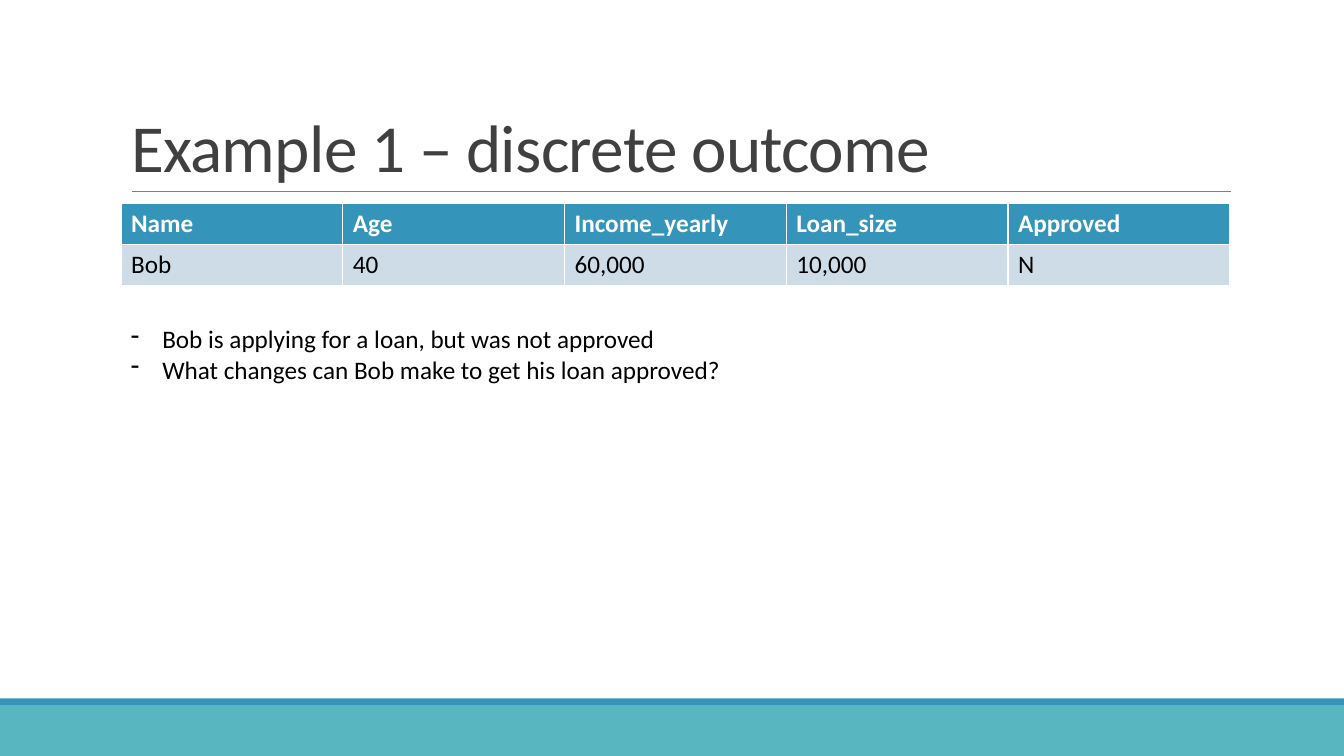
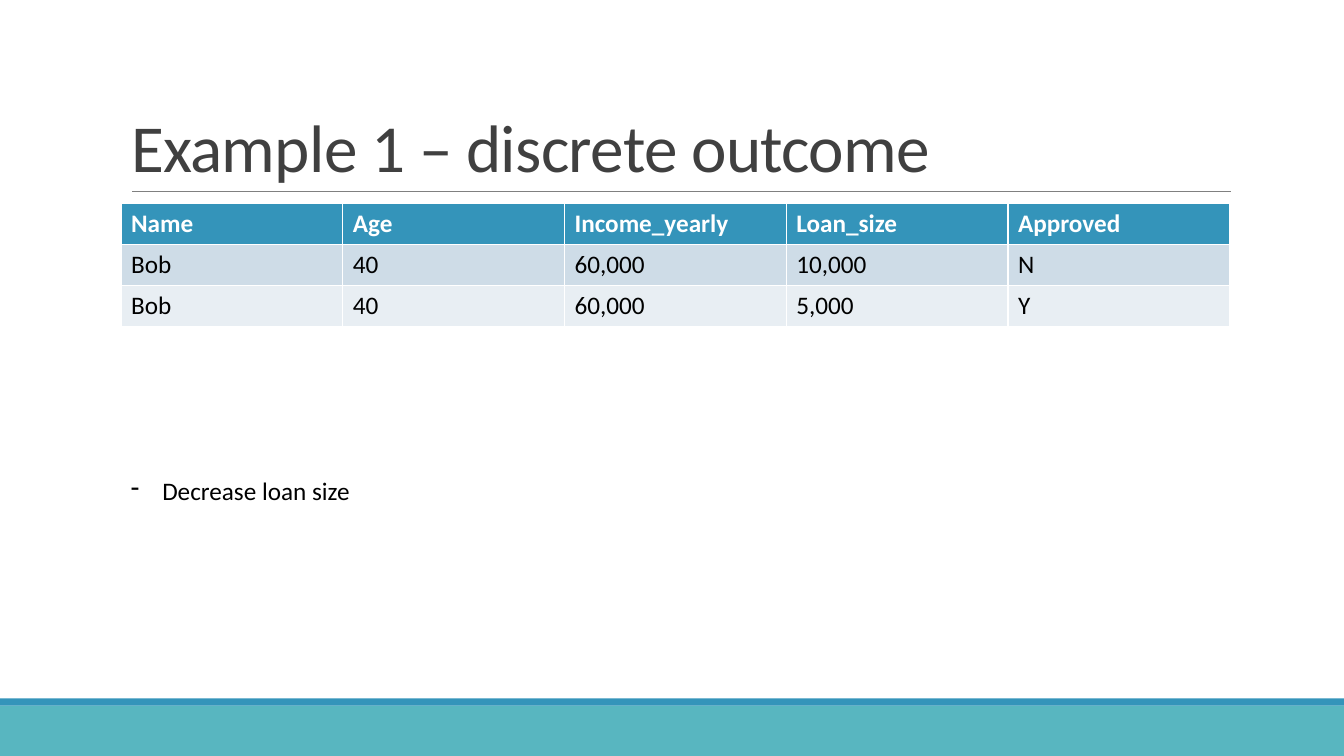
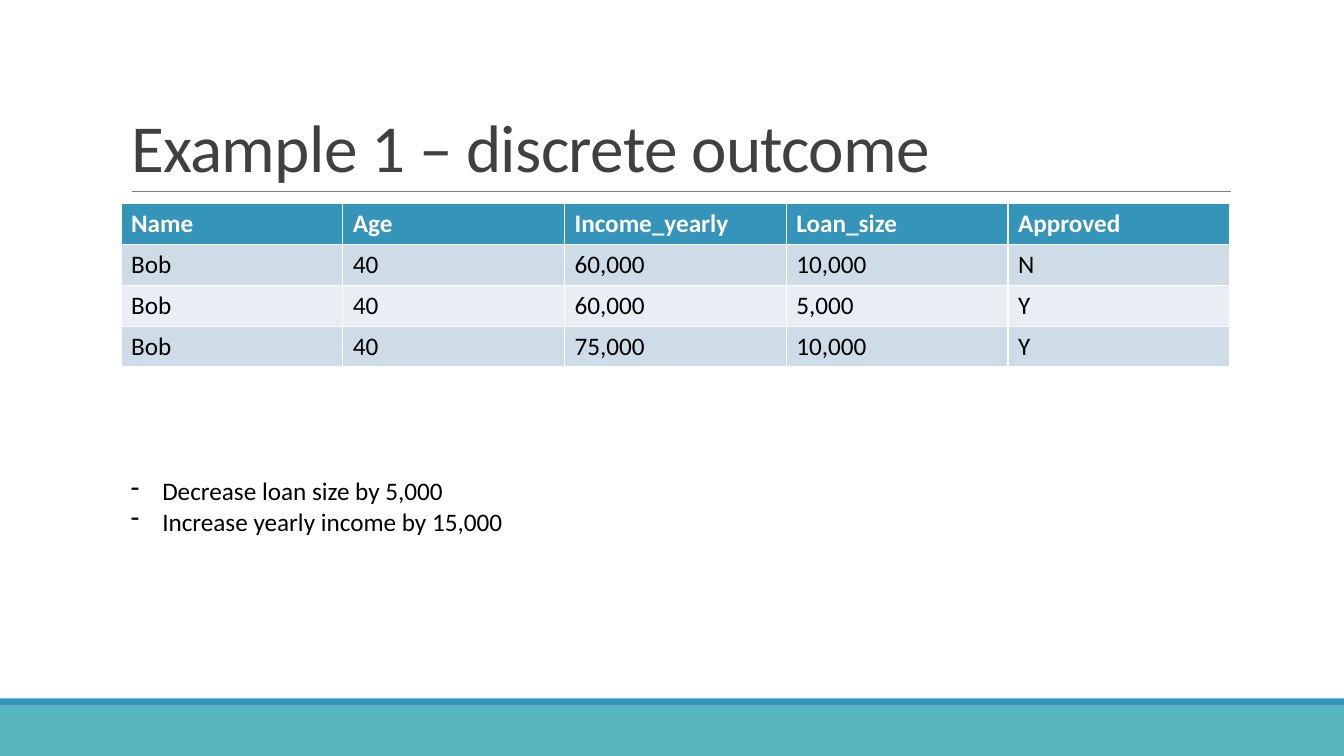
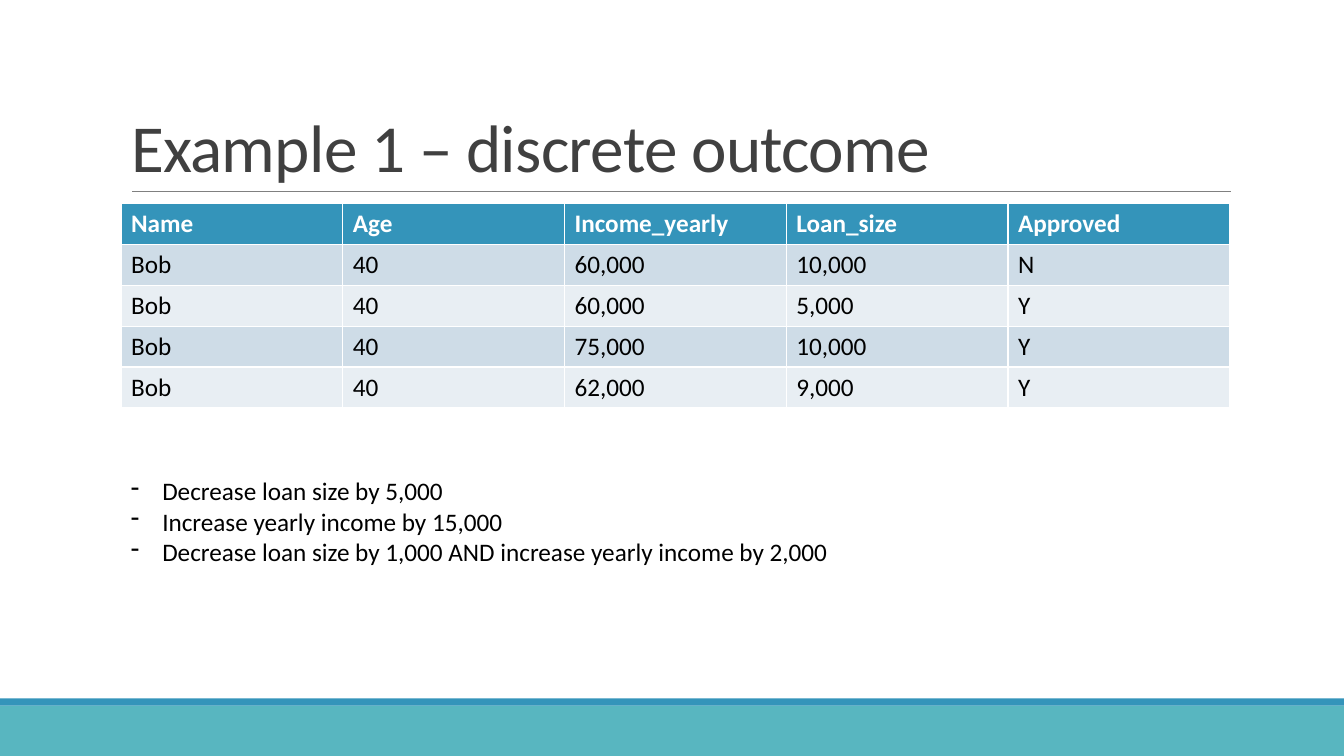
"""Build four slides on changing the outcome of a loan request."""
from lxml.etree import SubElement as Sub
from pptx import Presentation
from pptx.dml.color import RGBColor as Rgb
from pptx.enum.shapes import MSO_CONNECTOR as Link, MSO_SHAPE as Form
from pptx.enum.text import MSO_ANCHOR as Anchor, MSO_AUTO_SIZE as Fit, PP_ALIGN as Align
from pptx.oxml.ns import qn
from pptx.util import Cm, Pt

FONT = "Calibri"
BLUE, TEAL, GRAY = "3494BA", "58B6C0", "808080"
DARK, BLACK, WHITE = "404040", "000000", "FFFFFF"
TINTS = ("CEDCE7", "E8EEF3")
WIDE, HIGH = 33.87, 19.05
LEFT, SPAN = 3.05, 27.94
ROW = 1.03
TITLE = "Example 1 – discrete outcome"
HEAD = ("Name", "Age", "Income_yearly", "Loan_size", "Approved")
BOBS = (
    ("Bob", "40", "60,000", "10,000", "N"),
    ("Bob", "40", "60,000", "5,000", "Y"),
    ("Bob", "40", "75,000", "10,000", "Y"),
    ("Bob", "40", "62,000", "9,000", "Y"),
)
FIRST, SECOND = "Decrease loan size by 5,000", "Increase yearly income by 15,000"
DECK = (
    (8.03, ("Bob is applying for a loan, but was not approved",
            "What changes can Bob make to get his loan approved?")),
    (11.86, ("Decrease loan size",)),
    (11.86, (FIRST, SECOND)),
    (11.86, (FIRST, SECOND,
             "Decrease loan size by 1,000 AND increase yearly income by 2,000")),
)


def paint(part, tone):
    """Give a fill or font colour from a hex string."""
    part.rgb = Rgb.from_string(tone)


def flood(part, tone):
    """Fill a shape or cell with one colour."""
    part.fill.solid()
    paint(part.fill.fore_color, tone)


def write(para, text, size, tone, bold=False):
    """Add one run of text and return it."""
    run = para.add_run()
    run.text = text
    font = run.font
    font.name, font.size, font.bold = FONT, Pt(size), bold
    paint(font.color, tone)
    return run


def add_band(slide, top, high, tone):
    """Draw a band across the full slide width."""
    band = slide.shapes.add_shape(Form.RECTANGLE, 0, Cm(top), Cm(WIDE), Cm(high))
    band.shadow.inherit = False
    band.line.fill.background()
    flood(band, tone)
    return band


def add_rule(slide, left, top, span):
    """Draw the thin line under the title."""
    rule = slide.shapes.add_connector(
        Link.STRAIGHT, Cm(left), Cm(top), Cm(left + span), Cm(top))
    rule.line.width = Pt(0.5)
    paint(rule.line.color, GRAY)
    Sub(rule.element.spPr, qn("a:effectLst"))
    return rule


def add_frame(slide):
    """Draw the bands and rule, then hand them to the shared layout."""
    parts = (
        add_band(slide, HIGH - 1.27, 1.27, TEAL),
        add_band(slide, HIGH - 1.45, 0.18, BLUE),
        add_rule(slide, LEFT + 0.28, 4.83, 27.68),
    )
    for part in parts:
        slide.slide_layout.shapes.element.append(part.element)


def set_title(slide, left, top, span, high):
    """Place and format the title."""
    title = slide.shapes.title
    title.left, title.top, title.width, title.height = map(Cm, (left, top, span, high))
    frame = title.text_frame
    frame.word_wrap, frame.auto_size = True, Fit.NONE
    frame.vertical_anchor = Anchor.BOTTOM
    para = frame.paragraphs[0]
    para.alignment, para.line_spacing = Align.LEFT, 0.85
    run = write(para, TITLE, 48, DARK)
    run.font._element.set("spc", "-50")


def add_grid(slide, left, top, span, rows):
    """Add the table of loan requests."""
    grid = slide.shapes.add_table(
        len(rows) + 1, len(HEAD), Cm(left), Cm(top), Cm(span),
        Cm(ROW * (len(rows) + 1))).table
    for y, row in enumerate((HEAD, *rows)):
        head = y == 0
        for x, text in enumerate(row):
            cell = grid.cell(y, x)
            flood(cell, BLUE if head else TINTS[(y - 1) % 2])
            write(cell.text_frame.paragraphs[0], text, 18,
                  WHITE if head else BLACK, head)


def add_notes(slide, left, top, span, lines):
    """Add the dashed list below the table."""
    box = slide.shapes.add_textbox(
        Cm(left), Cm(top), Cm(span), Cm(0.25 + 0.77 * len(lines)))
    frame = box.text_frame
    frame.word_wrap, frame.auto_size = True, Fit.SHAPE_TO_FIT_TEXT
    for n, line in enumerate(lines):
        para = frame.add_paragraph() if n else frame.paragraphs[0]
        props = para._p.get_or_add_pPr()
        props.set("marL", str(Cm(0.79)))
        props.set("indent", str(-Cm(0.79)))
        Sub(props, qn("a:buFontTx"))
        Sub(props, qn("a:buChar")).set("char", "-")
        write(para, line, 18, BLACK)


def main():
    """Build and save the deck."""
    deck = Presentation()
    deck.slide_width, deck.slide_height = Cm(WIDE), Cm(HIGH)
    for n, (top, lines) in enumerate(DECK):
        slide = deck.slides.add_slide(deck.slide_layouts[5])
        if n == 0:
            add_frame(slide)
        set_title(slide, LEFT, 0.79, SPAN, 4.04)
        add_grid(slide, LEFT, 5.13, SPAN, BOBS[:n + 1])
        add_notes(slide, LEFT, top, SPAN, lines)
    deck.save("out.pptx")


if __name__ == "__main__":
    main()
